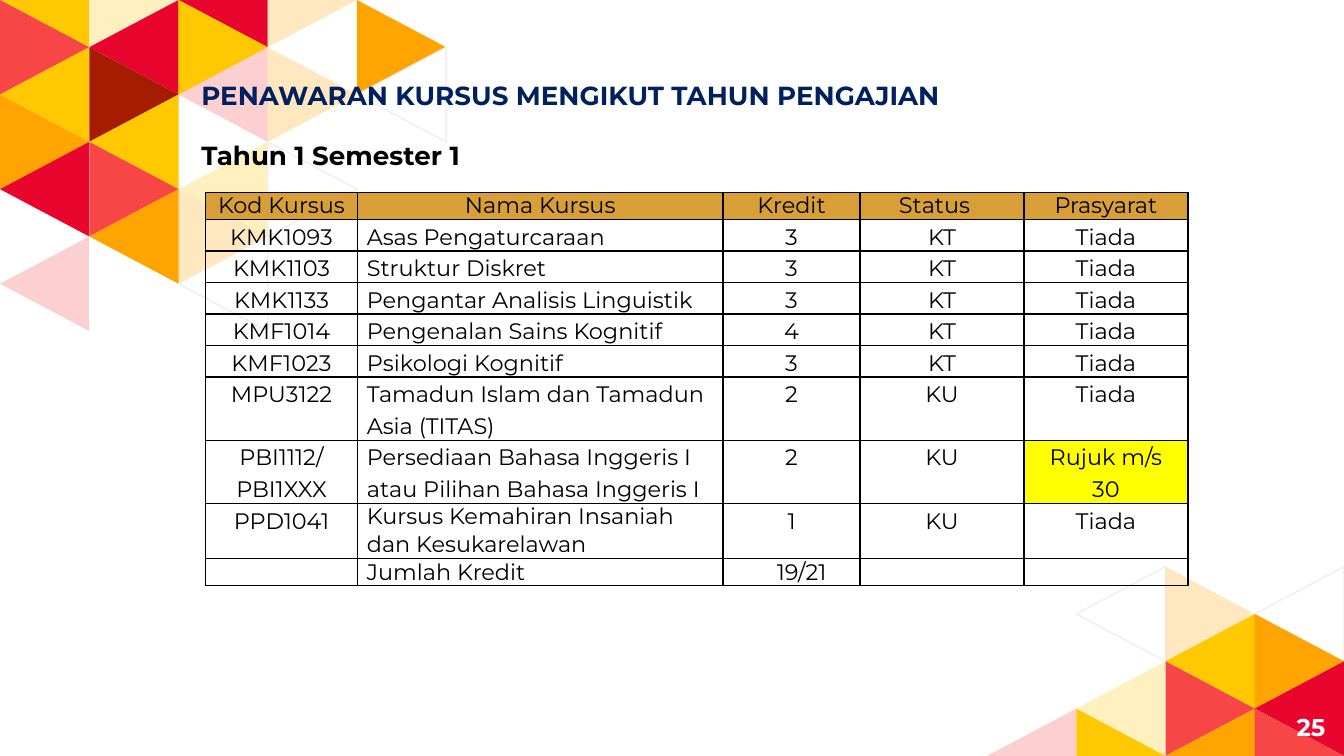
"""Build the course offering slide for Year 1 Semester 1."""
from lxml import etree
from pptx import Presentation
from pptx import util as u
from pptx.dml.color import RGBColor
from pptx.enum import text
from pptx.oxml import ns

FONT = "Montserrat"
CENTER, LEFT, RIGHT = text.PP_ALIGN.CENTER, text.PP_ALIGN.LEFT, text.PP_ALIGN.RIGHT
SLIDE_WIDTH, SLIDE_HEIGHT = 10, 5.625

COLOURS = {"Y": "FFC800", "O": "FFA400", "P": "F64646", "R": "E8062F", "D": "A61C00", "W": "FFFFFF"}
TOP_LEFT_COLUMNS = ["YPYOR.p", "yRDYPO.", "RYp.yoW", "o.o.W..", ".OW...."]
BOTTOM_RIGHT_COLUMNS = ["....p", ".W.yY", ".oYPO", ".WORP"]
TRIANGLE_WIDTH, HALF_HEIGHT = 3.32 / 5, 1.76 / 5

TEXTS = [
    ("PENAWARAN KURSUS MENGIKUT TAHUN PENGAJIAN", (1.4, 0.54, 7.44, 0.34), 14, "002060", LEFT, True),
    ("Tahun 1 Semester 1", (1.4, 0.99, 2.26, 0.34), 14, "000000", LEFT, False),
    ("25", (9.36, 5.19, 0.6, 0.43), 13, "FFFFFF", RIGHT, True),
]

HEADERS = ["Kod Kursus", "Nama Kursus", "Kredit", "Status", "Prasyarat"]
COURSES = [
    ("KMK1093", "Asas Pengaturcaraan", "3", "KT", "Tiada"),
    ("KMK1103", "Struktur Diskret", "3", "KT", "Tiada"),
    ("KMK1133", "Pengantar Analisis Linguistik", "3", "KT", "Tiada"),
    ("KMF1014", "Pengenalan Sains Kognitif", "4", "KT", "Tiada"),
    ("KMF1023", "Psikologi Kognitif", "3", "KT", "Tiada"),
    ("MPU3122", "Tamadun Islam dan Tamadun Asia (TITAS)", "2", "KU", "Tiada"),
    ("PBI1112/ PBI1XXX", "Persediaan Bahasa Inggeris I atau Pilihan Bahasa Inggeris I", "2", "KU", "Rujuk m/s 30"),
    ("PPD1041", "Kursus Kemahiran Insaniah dan Kesukarelawan", "1", "KU", "Tiada"),
]
TOTAL = ("", "Jumlah Kredit", "19/21", "", "")
COLUMN_WIDTHS = [1.13, 2.72, 1.02, 1.22, 1.22]
ROW_HEIGHTS = [0.2] + [0.23] * 5 + [0.47] * 2 + [0.41, 0.2]
FILLS = {"Rujuk m/s 30": "FFFF00", **dict.fromkeys(HEADERS, "D89F39")}
INDENTS = {"Status": 0.22, "19/21": 0.15}
SINGLE_SPACED = {*HEADERS, *TOTAL, COURSES[-1][1]}


def colour(value):
    return RGBColor.from_string(value)


def format_runs(paragraph, size, value, bold=False):
    for run in paragraph.runs:
        run.font.name, run.font.size, run.font.bold = FONT, u.Pt(size), bold
        run.font.color.rgb = colour(value)


def add_triangle(slide, left, top, column, row, rows, code):
    points_right = (column + row) % 2
    apex, base = (column + 1, column) if points_right else (column, column + 1)
    corners = [(base, max(row - 1, 0)), (apex, row), (base, min(row + 1, rows))]
    points = [(u.Inches(left + x * TRIANGLE_WIDTH), u.Inches(top + y * HALF_HEIGHT)) for x, y in corners]
    builder = slide.shapes.build_freeform(*points[0])
    builder.add_line_segments(points[1:], close=True)
    shape = builder.convert_to_shape()
    shape.shadow.inherit = False
    shape.fill.solid()
    shape.fill.fore_color.rgb = colour(COLOURS[code.upper()])
    if code.islower():
        fill_colour = shape._element.spPr.find(".//" + ns.qn("a:srgbClr"))
        etree.SubElement(fill_colour, ns.qn("a:alpha"), val="25000")
    if code == "W":
        shape.line.color.rgb = colour("EFEFEF")
        shape.line.width = u.Pt(0.75)
    else:
        shape.line.fill.background()


def add_mosaic(slide, columns, left, top, rows):
    for column, codes in enumerate(columns):
        for row, code in enumerate(codes):
            if code != ".":
                add_triangle(slide, left, top, column, row, rows, code)


def add_text(slide, content, box, size, value, alignment, wrap):
    shape = slide.shapes.add_textbox(*map(u.Inches, box))
    frame = shape.text_frame
    frame.word_wrap = wrap
    frame.vertical_anchor = text.MSO_ANCHOR.MIDDLE if alignment == RIGHT else text.MSO_ANCHOR.TOP
    frame.text = content
    frame.paragraphs[0].alignment = alignment
    format_runs(frame.paragraphs[0], size, value, bold=True)


def add_borders(cell):
    properties = cell._tc.get_or_add_tcPr()
    for side in ("lnL", "lnR", "lnT", "lnB"):
        line = etree.SubElement(properties, ns.qn("a:" + side), w=str(u.Pt(0.75)))
        fill = etree.SubElement(line, ns.qn("a:solidFill"))
        etree.SubElement(fill, ns.qn("a:srgbClr"), val="000000")


def fill_cell(cell, content, column):
    cell.margin_left = cell.margin_right = u.Inches(0.07)
    cell.margin_top = cell.margin_bottom = 0
    add_borders(cell)
    if content in FILLS:
        cell.fill.solid()
        cell.fill.fore_color.rgb = colour(FILLS[content])
    else:
        cell.fill.background()
    cell.text_frame.text = content
    paragraph = cell.text_frame.paragraphs[0]
    is_left = content == "Status" or (column == 1 and content not in HEADERS)
    paragraph.alignment = LEFT if is_left else CENTER
    paragraph.line_spacing = 1.0 if content in SINGLE_SPACED else 1.15
    if content in INDENTS:
        paragraph._p.get_or_add_pPr().set("marL", str(u.Inches(INDENTS[content])))
    format_runs(paragraph, 12, "000000")
    if not content:
        etree.SubElement(paragraph._p, ns.qn("a:endParaRPr"), sz="1200")


def add_course_table(slide):
    rows = [HEADERS, *COURSES, TOTAL]
    box = (1.53, 1.43, sum(COLUMN_WIDTHS), sum(ROW_HEIGHTS))
    table = slide.shapes.add_table(len(rows), len(HEADERS), *map(u.Inches, box)).table
    table.first_row = table.horz_banding = False
    for column, width in zip(table.columns, COLUMN_WIDTHS):
        column.width = u.Inches(width)
    for row, height in zip(table.rows, ROW_HEIGHTS):
        row.height = u.Inches(height)
    for row_index, row in enumerate(rows):
        for column_index, content in enumerate(row):
            fill_cell(table.cell(row_index, column_index), content, column_index)


def main():
    presentation = Presentation()
    presentation.slide_width = u.Inches(SLIDE_WIDTH)
    presentation.slide_height = u.Inches(SLIDE_HEIGHT)
    slide = presentation.slides.add_slide(presentation.slide_layouts[6])
    add_mosaic(slide, TOP_LEFT_COLUMNS, 0, 0, 7)
    corner_left = SLIDE_WIDTH - len(BOTTOM_RIGHT_COLUMNS) * TRIANGLE_WIDTH
    add_mosaic(slide, BOTTOM_RIGHT_COLUMNS, corner_left, SLIDE_HEIGHT - 4 * HALF_HEIGHT, 4)
    add_course_table(slide)
    for item in TEXTS:
        add_text(slide, *item)
    presentation.save("out.pptx")


if __name__ == "__main__":
    main()
